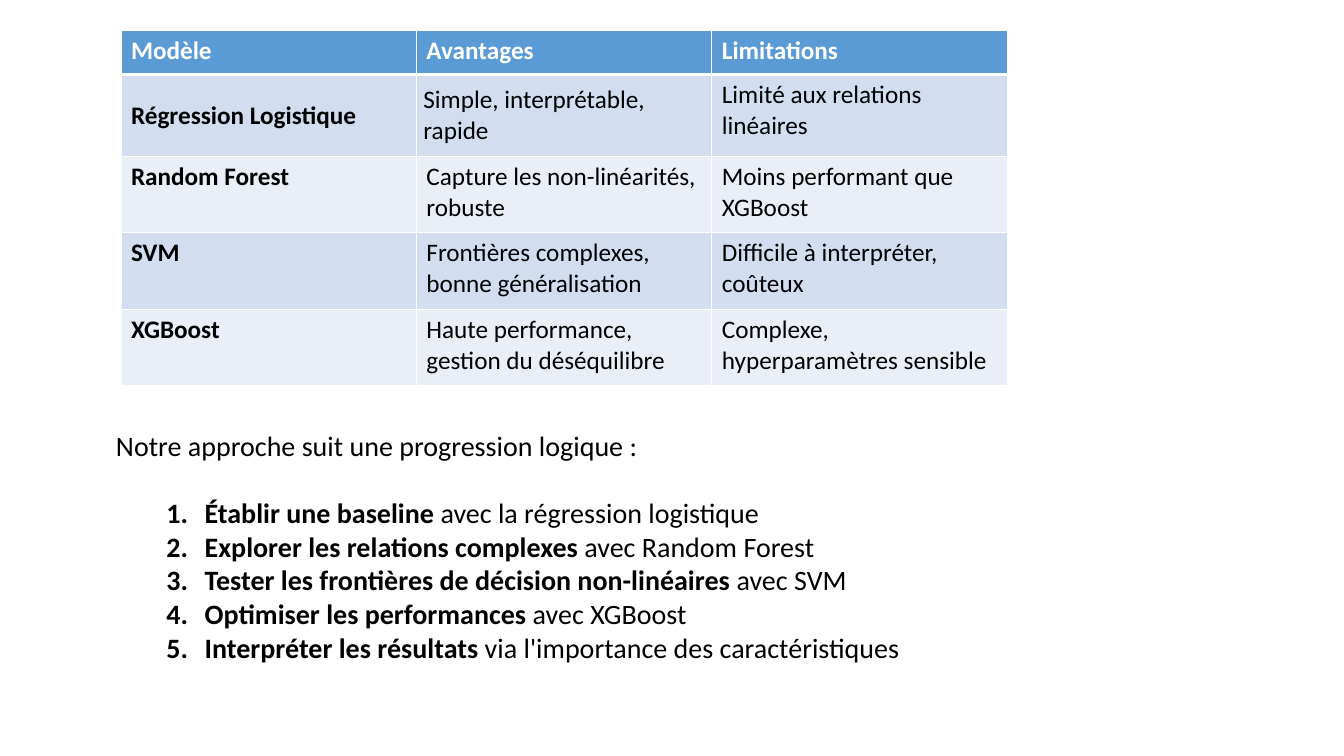
from dataclasses import dataclass

from lxml import etree
from pptx import Presentation
from pptx.dml.color import RGBColor
from pptx.enum.text import MSO_ANCHOR, MSO_AUTO_SIZE, PP_ALIGN
from pptx.oxml.ns import qn
from pptx.util import Inches, Pt

MIDDLE, TOP = MSO_ANCHOR.MIDDLE, MSO_ANCHOR.TOP
FIT_SHAPE = MSO_AUTO_SIZE.SHAPE_TO_FIT_TEXT
LEFT = PP_ALIGN.LEFT


@dataclass(frozen=True)
class Theme:
    font: str = "Calibri"
    table_size: int = 18
    list_size: int = 20
    text: str = "000000"
    white: str = "FFFFFF"
    header: str = "5B9BD5"
    bands: tuple = ("D2DEEF", "EAEFF7")


THEME = Theme()

MODELS = [
    ("Modèle", "Avantages", "Limitations"),
    ("Régression Logistique", "Simple, interprétable, rapide", "Limité aux relations linéaires"),
    ("Random Forest", "Capture les non-linéarités, robuste", "Moins performant que XGBoost"),
    ("SVM", "Frontières complexes, bonne généralisation", "Difficile à interpréter, coûteux"),
    ("XGBoost", "Haute performance, gestion du déséquilibre", "Complexe, hyperparamètres sensible"),
]
ROW_HEIGHTS = [0.44, 0.81, 0.76, 0.76, 0.76]
COLUMN_WIDTH = 2.93
# Cells of the first model: left inset by column
CENTRED_CELLS = {(1, 0): 0.1, (1, 1): 0.07}

INTRO = "Notre approche suit une progression logique :"
STEPS = [
    ("Établir une baseline", " avec la régression logistique"),
    ("Explorer les relations complexes", " avec Random Forest"),
    ("Tester les frontières de décision non-linéaires", " avec SVM"),
    ("Optimiser les performances", " avec XGBoost"),
    ("Interpréter les résultats", " via l'importance des caractéristiques"),
]


def add_span(para, text, size, color, bold=False):
    span = para.add_run()
    span.text = text
    formats = {"name": THEME.font, "size": Pt(size), "bold": bold}
    for name, value in formats.items():
        setattr(span.font, name, value)
    span.font.color.rgb = RGBColor.from_string(color)


def add_border(cell, side, width):
    line = etree.SubElement(cell._tc.get_or_add_tcPr(), qn(f"a:ln{side}"), w=str(Pt(width)))
    fill = etree.SubElement(line, qn("a:solidFill"))
    etree.SubElement(fill, qn("a:srgbClr"), val=THEME.white)


deck = Presentation()
deck.slide_width, deck.slide_height = Inches(13.33), Inches(7.5)
page = deck.slides.add_slide(deck.slide_layouts[1])
title = page.shapes.title
title.element.getparent().remove(title.element)

# Model comparison
frame = page.shapes.add_table(
    len(MODELS), len(MODELS[0]), Inches(1.2), Inches(0.3),
    Inches(COLUMN_WIDTH * 3), Inches(sum(ROW_HEIGHTS)))
table = frame.table
for column in table.columns:
    column.width = Inches(COLUMN_WIDTH)

for r, texts in enumerate(MODELS):
    table.rows[r].height = Inches(ROW_HEIGHTS[r])
    is_header = r == 0
    for c, text in enumerate(texts):
        cell = table.cell(r, c)
        for side in "LRTB":
            under_header = (r, side) in ((0, "B"), (1, "T"))
            add_border(cell, side, 3 if under_header else 1)
        cell.fill.solid()
        fill = THEME.header if is_header else THEME.bands[(r - 1) % 2]
        cell.fill.fore_color.rgb = RGBColor.from_string(fill)
        cell.vertical_anchor = TOP
        if (r, c) in CENTRED_CELLS:
            formats = {
                "vertical_anchor": MIDDLE,
                "margin_left": Inches(CENTRED_CELLS[r, c]),
                "margin_right": Inches(0.07),
                "margin_top": Inches(0.07),
                "margin_bottom": Inches(0.07),
            }
            for name, value in formats.items():
                setattr(cell, name, value)
        add_span(cell.text_frame.paragraphs[0], text, THEME.table_size,
                 THEME.white if is_header else THEME.text, is_header or c == 0)

# Approach, step by step
body = page.placeholders[1]
body.left, body.top, body.width, body.height = map(Inches, (1.05, 4.2, 8.18, 2.46))
approach = body.text_frame
approach.word_wrap = True
approach.auto_size = FIT_SHAPE
approach.vertical_anchor = TOP

intro = approach.paragraphs[0]
add_span(intro, INTRO, THEME.list_size, THEME.text)
intro_properties = intro._p.get_or_add_pPr()
intro_properties.set("marL", "0")
intro_properties.set("indent", "0")
intro.alignment, intro.space_before = LEFT, Pt(0)
etree.SubElement(intro_properties, qn("a:buNone"))

for number, (action, method) in enumerate(STEPS):
    para = approach.add_paragraph()
    para.level = 1
    para.alignment = LEFT
    para.space_before = Pt(0 if number else 24)
    properties = para._p.get_or_add_pPr()
    properties.set("marL", str(Inches(0.88)))
    properties.set("indent", str(Inches(-0.38)))
    etree.SubElement(properties, qn("a:buFont"), typeface="+mj-lt")
    etree.SubElement(properties, qn("a:buAutoNum"), type="arabicPeriod")
    add_span(para, action, THEME.list_size, THEME.text, bold=True)
    add_span(para, method, THEME.list_size, THEME.text)

deck.save("out.pptx")
